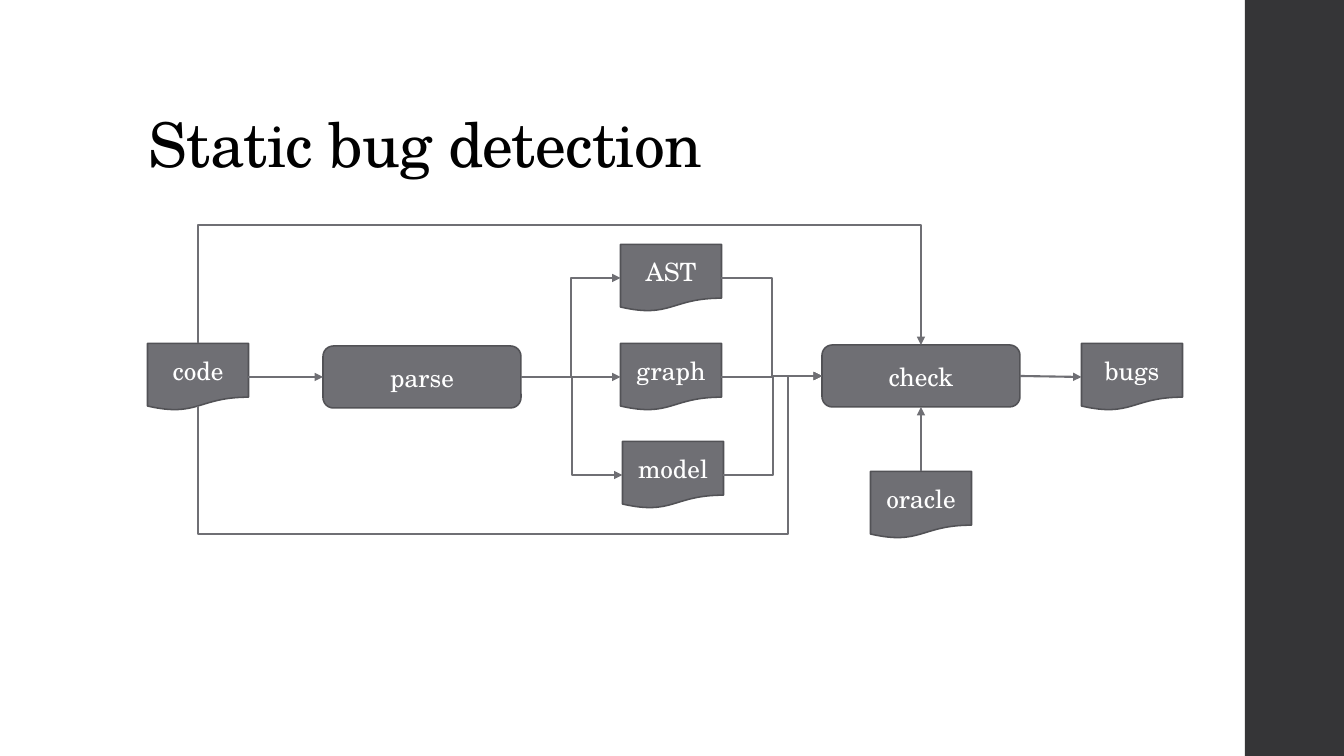
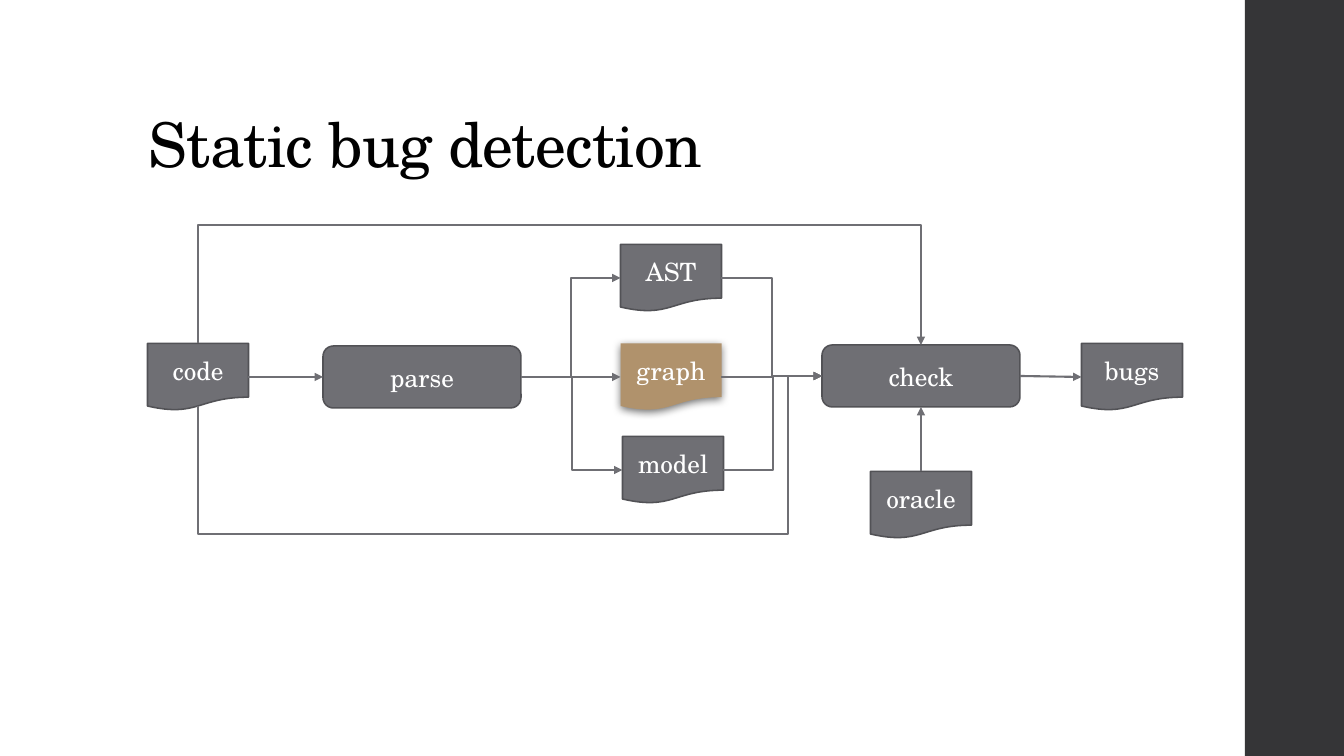
"""Builds two slides of a static bug detection pipeline, the second with the graph highlighted."""
import pptx
import pptx.dml.color
import pptx.enum.shapes
import pptx.enum.text
import pptx.oxml
import pptx.oxml.ns
import pptx.util

SHAPE = pptx.enum.shapes.MSO_SHAPE
CONNECTOR = pptx.enum.shapes.MSO_CONNECTOR
ANCHOR = pptx.enum.text.MSO_ANCHOR
ALIGN = pptx.enum.text.PP_ALIGN
TOP, LEFT, BOTTOM, RIGHT = range(4)

THEME = {
    "font": "TeX Gyre Schola",
    "title": "000000", "label": "FFFFFF", "band": "353537",
    "node": "6F6F74", "outline": "525256", "highlight": "B0926C",
    "title_size": 44, "label_size": 18,
    "outline_width": 1.1, "arrow_width": 1.5,
}
PAGE = (1344, 756)
BAND = (1245, 0, 99, 756)
TITLE_BOX = (139, 40, 1068, 146)
KINDS = {
    "document": (SHAPE.FLOWCHART_DOCUMENT, 101, 67),
    "step": (SHAPE.ROUNDED_RECTANGLE, 198, 62),
}
NODES = {
    "parse": ("step", 422, 377),
    "code": ("document", 198, 377),
    "graph": ("document", 671, 377),
    "model": ("document", 673, 475),
    "AST": ("document", 671, 278),
    "check": ("step", 921, 376),
    "oracle": ("document", 921, 505),
    "bugs": ("document", 1132, 377),
}
ARROWS = [
    ("code", RIGHT, "parse", LEFT, CONNECTOR.STRAIGHT),
    ("parse", RIGHT, "graph", LEFT, CONNECTOR.STRAIGHT),
    ("parse", RIGHT, "AST", LEFT, CONNECTOR.ELBOW),
    ("parse", RIGHT, "model", LEFT, CONNECTOR.ELBOW),
    ("AST", RIGHT, "check", LEFT, CONNECTOR.ELBOW),
    ("graph", RIGHT, "check", LEFT, CONNECTOR.ELBOW),
    ("model", RIGHT, "check", LEFT, CONNECTOR.ELBOW),
    ("oracle", TOP, "check", BOTTOM, CONNECTOR.STRAIGHT),
    ("check", RIGHT, "bugs", LEFT, CONNECTOR.STRAIGHT),
]
UPPER_LOOP_Y, LOWER_LOOP_Y, LOWER_LOOP_X = 226, 534, 788
DOCUMENT_FOOT = 0.93
SLIDES = [
    {"title": "Static bug detection", "highlight": None, "moved": {}},
    {"title": "Static bug detection", "highlight": "graph",
     "moved": {"model": ("document", 673, 470)}},
]
SHADOW = (
    '<a:outerShdw xmlns:a="http://schemas.openxmlformats.org/drawingml/2006/main" '
    'blurRad="76200" dist="25400" dir="5400000" algn="ctr" rotWithShape="0">'
    '<a:srgbClr val="000000"><a:alpha val="55000"/></a:srgbClr></a:outerShdw>'
)


def px(length):
    return pptx.util.Emu(round(length * 914400 / 100.8))


def color(name):
    return pptx.dml.color.RGBColor.from_string(THEME[name])


def apply(target, values):
    for name, value in values.items():
        setattr(target, name, value)


def write(box, text, role, frame_format, para_format):
    apply(box.text_frame, {"word_wrap": True, **frame_format})
    para = box.text_frame.paragraphs[0]
    apply(para, para_format)
    span = para.add_run()
    span.text = text
    apply(span.font, {"name": THEME["font"], "size": pptx.util.Pt(THEME[role + "_size"])})
    span.font.color.rgb = color(role)
    return span


def add_box(page, shape_type, place, fill, outline=None):
    box = page.shapes.add_shape(shape_type, *map(px, place))
    box.shadow.inherit = False
    box.fill.solid()
    box.fill.fore_color.rgb = color(fill)
    if outline:
        box.line.color.rgb = color(outline)
        box.line.width = pptx.util.Pt(THEME["outline_width"])
    else:
        box.line.fill.background()
    return box


def add_frame(page, title):
    add_box(page, SHAPE.RECTANGLE, BAND, "band")
    box = page.shapes.add_textbox(*map(px, TITLE_BOX))
    span = write(box, title, "title", {"vertical_anchor": ANCHOR.BOTTOM}, {"line_spacing": 0.9})
    span.font._element.set("spc", "-50")


def add_node(page, name, node, highlighted):
    kind, center_x, center_y = node
    shape_type, width, height = KINDS[kind]
    place = (center_x - width / 2, center_y - height / 2, width, height)
    if highlighted:
        box = add_box(page, shape_type, place, "highlight")
        effects = box.element.spPr.find(pptx.oxml.ns.qn("a:effectLst"))
        effects.append(pptx.oxml.parse_xml(SHADOW))
    else:
        box = add_box(page, shape_type, place, "node", "outline")
    write(box, name, "label", {"vertical_anchor": ANCHOR.MIDDLE}, {"alignment": ALIGN.CENTER})
    return box


def add_arrow(page, start, start_side, end, end_side, kind):
    arrow = page.shapes.add_connector(kind, 0, 0, 0, 0)
    arrow.begin_connect(start, start_side)
    arrow.end_connect(end, end_side)
    arrow.line.color.rgb = color("node")
    arrow.line.width = pptx.util.Pt(THEME["arrow_width"])
    properties = arrow.element.spPr
    line = properties.find(pptx.oxml.ns.qn("a:ln"))
    line.append(line.makeelement(pptx.oxml.ns.qn("a:tailEnd"), {"type": "triangle"}))
    properties.append(properties.makeelement(pptx.oxml.ns.qn("a:effectLst"), {}))
    return arrow


def turn_arrow(arrow, start, end, turn, flips, preset, bends):
    """Lays a bent connector whose first leg is vertical, turned by a quarter."""
    (start_x, start_y), (end_x, end_y) = start, end
    rise, span = abs(end_y - start_y), abs(end_x - start_x)
    apply(arrow, {
        "left": px((start_x + end_x - rise) / 2), "top": px((start_y + end_y - span) / 2),
        "width": px(rise), "height": px(span),
    })
    properties = arrow.element.spPr
    frame = properties.find(pptx.oxml.ns.qn("a:xfrm"))
    frame.set("rot", str(turn * 60000))
    for flip in ("flipH", "flipV"):
        frame.set(flip, str(int(flip in flips)))
    geometry = properties.find(pptx.oxml.ns.qn("a:prstGeom"))
    geometry.set("prst", preset)
    guides = geometry.find(pptx.oxml.ns.qn("a:avLst"))
    for number, bend in enumerate(bends, 1):
        guides.append(guides.makeelement(pptx.oxml.ns.qn("a:gd"), {
            "name": f"adj{number}", "fmla": f"val {round(bend * 100000)}"}))


def add_loops(page, boxes, nodes):
    _, code_x, code_y = nodes["code"]
    _, check_x, check_y = nodes["check"]
    _, _, code_height = KINDS["document"]
    _, check_width, check_height = KINDS["step"]
    code_top, check_top = code_y - code_height / 2, check_y - check_height / 2
    code_foot, check_left = code_top + code_height * DOCUMENT_FOOT, check_x - check_width / 2

    upper = add_arrow(page, boxes["code"], TOP, boxes["check"], TOP, CONNECTOR.ELBOW)
    turn_arrow(upper, (code_x, code_top), (check_x, check_top), 270, ("flipH",),
               "bentConnector3", [(UPPER_LOOP_Y - code_top) / (check_top - code_top)])
    lower = add_arrow(page, boxes["code"], BOTTOM, boxes["check"], LEFT, CONNECTOR.ELBOW)
    turn_arrow(lower, (code_x, code_foot), (check_left, check_y), 90, ("flipH", "flipV"),
               "bentConnector4", [(LOWER_LOOP_Y - code_foot) / (check_y - code_foot),
                                  (LOWER_LOOP_X - code_x) / (check_left - code_x)])


def main():
    deck = pptx.Presentation()
    deck.slide_width, deck.slide_height = map(px, PAGE)
    for content in SLIDES:
        page = deck.slides.add_slide(deck.slide_layouts[6])
        add_frame(page, content["title"])
        nodes = {**NODES, **content["moved"]}
        boxes = {name: add_node(page, name, node, name == content["highlight"])
                 for name, node in nodes.items()}
        for start, start_side, end, end_side, kind in ARROWS:
            add_arrow(page, boxes[start], start_side, boxes[end], end_side, kind)
        add_loops(page, boxes, nodes)
    deck.save("out.pptx")


if __name__ == "__main__":
    main()
